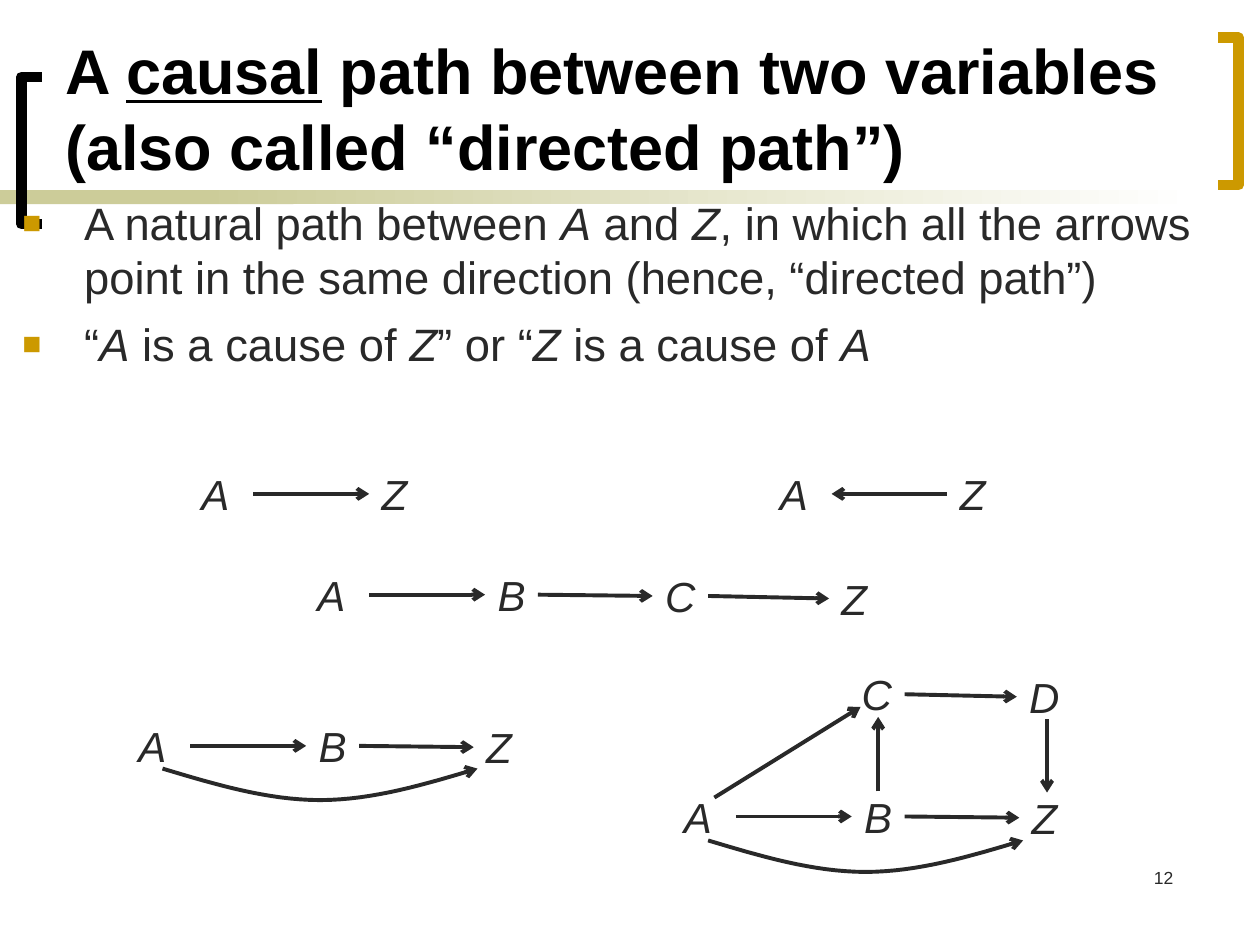
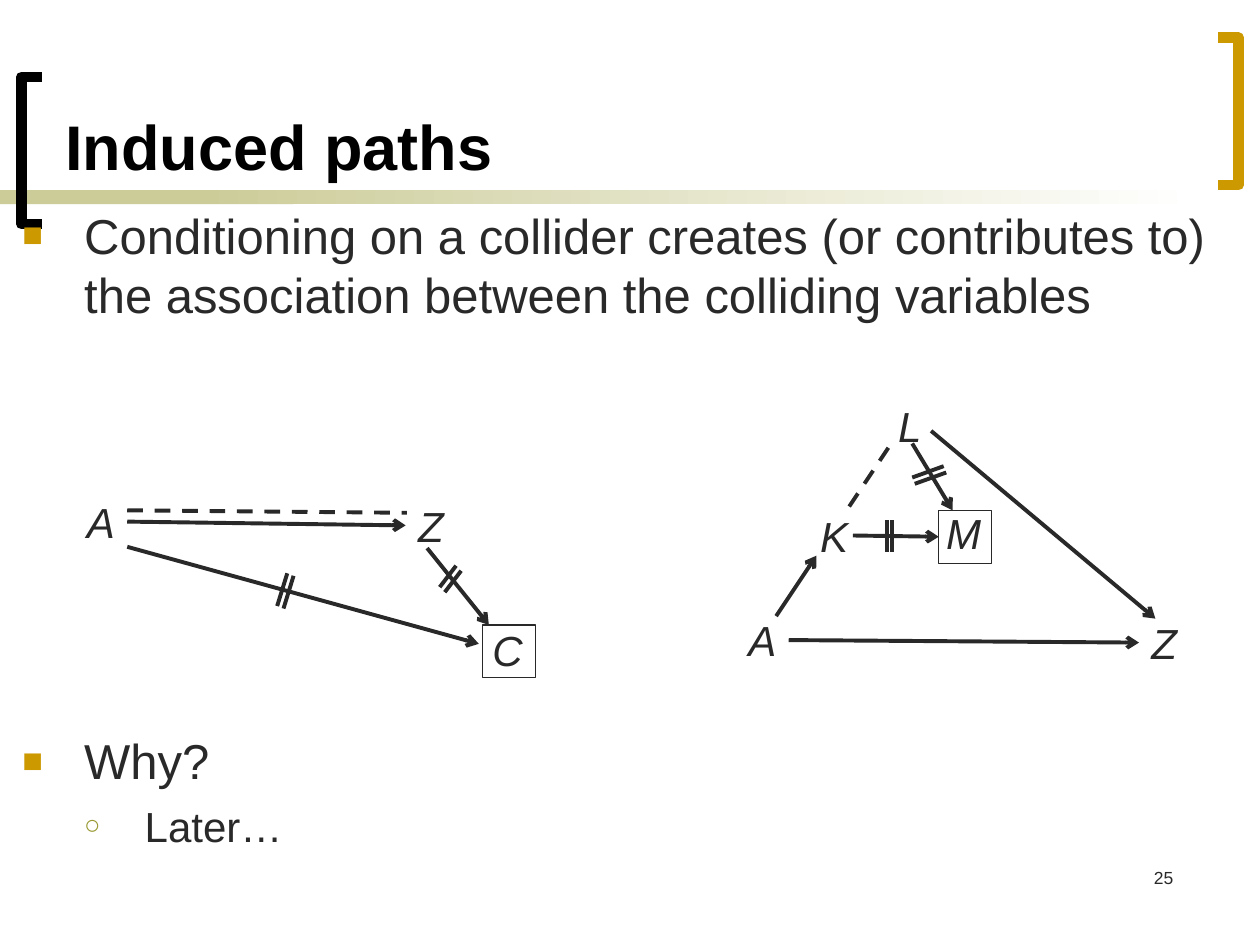
from lxml import etree
from pptx import Presentation
from pptx.dml.color import RGBColor
from pptx.enum.dml import MSO_LINE
from pptx.enum.shapes import MSO_CONNECTOR, MSO_SHAPE
from pptx.enum.text import MSO_ANCHOR, MSO_AUTO_SIZE, PP_ALIGN
from pptx.oxml.ns import qn
from pptx.util import Inches, Pt

STRAIGHT = MSO_CONNECTOR.STRAIGHT
RECTANGLE = MSO_SHAPE.RECTANGLE
DASH = MSO_LINE.DASH
LEFT, RIGHT = PP_ALIGN.LEFT, PP_ALIGN.RIGHT
LEFT_SIDE, RIGHT_SIDE = 1, 3
TITLE_ONLY = 5

FONT = "Arial"
COLORS = {"ink": "292929", "black": "000000", "gold": "CC9900",
          "olive": "999933", "band": "CCCC99", "white": "FFFFFF"}
NODE_WIDTHS = {"A": 0.42, "B": 0.42, "C": 0.44, "D": 0.44,
               "K": 0.42, "L": 0.38, "M": 0.48, "Z": 0.4}
NODE_HEIGHT = 0.5
FRAME_SIZE = 0.42
# Steps from the first node of a chain: right and down
CHAIN_STEPS = [(0, 0), (1.43, 0), (2.76, 0.01), (4.16, 0.03)]
# Level: bullet, colour, size in percent, left margin, hanging indent, space before
BULLETS = [("■", "gold", 70, 0.49, 0.49, 7), ("○", "olive", 65, 0.97, 0.48, 6)]


def rgb(name):
    return RGBColor.from_string(COLORS[name])


def set_font(paragraph, size, color="ink", bold=False, italic=None):
    font = paragraph.font
    font.name, font.size, font.bold = FONT, Pt(size), bold
    font.color.rgb = rgb(color)
    if italic is not None:
        font.italic = italic


def add_marked_runs(paragraph, text, mark):
    """Split text at "|" and set the font attribute mark on every second part."""
    for index, part in enumerate(text.split("|")):
        if part:
            run = paragraph.add_run()
            run.text = part
            if index % 2:
                setattr(run.font, mark, True)


def style_line(shape, color="ink", width=2.25, dash=False, head=None):
    """Head is "headEnd" or "tailEnd", the end that carries the arrow."""
    shape.line.color.rgb = rgb(color)
    shape.line.width = Pt(width)
    if dash:
        shape.line.dash_style = DASH
    properties = shape.element.spPr
    if head:
        etree.SubElement(properties.find(qn("a:ln")), qn(f"a:{head}"), type="arrow")
    if properties.find(qn("a:effectLst")) is None:
        etree.SubElement(properties, qn("a:effectLst"))


def add_polyline(slide, points, **line):
    start, *rest = [(Inches(x), Inches(y)) for x, y in points]
    builder = slide.shapes.build_freeform(*start)
    builder.add_line_segments(rest, close=False)
    outline = builder.convert_to_shape()
    outline.fill.background()
    style_line(outline, **line)


def add_text_box(slide, left, top, width, height):
    box = slide.shapes.add_textbox(*map(Inches, (left, top, width, height)))
    box.text_frame.word_wrap = True
    return box


def add_band(slide, left, width):
    band = slide.shapes.add_shape(
        RECTANGLE, *map(Inches, (left, 1.51, width, 0.11)))
    band.shadow.inherit = False
    band.line.fill.background()
    return band.fill


def add_bracket(slide, left, top, inner, outer, color):
    """Draw a square bracket; inner and outer are the x offsets of tips and spine."""
    bottom = top + 1.17
    tip, spine = left + inner, left + outer
    add_polyline(slide, [(tip, bottom), (spine, bottom), (spine, top), (tip, top)],
                 color=color, width=6)


def add_slide(deck, title, number):
    slide = deck.slides.add_slide(deck.slide_layouts[TITLE_ONLY])
    solid = add_band(slide, 0, 2.33)
    solid.solid()
    solid.fore_color.rgb = rgb("band")
    fade = add_band(slide, 1.58, 7.92)
    fade.gradient()
    fade.gradient_angle = 0
    for stop, color in zip(fade.gradient_stops, ("band", "white")):
        stop.color.rgb = rgb(color)
    add_bracket(slide, 0.17, 0.61, 0.16, 0, "black")
    add_bracket(slide, 9.67, 0.3, 0, 0.16, "gold")

    heading = slide.shapes.title
    heading.left, heading.top = Inches(0.42), Inches(0.11)
    heading.width, heading.height = Inches(9.33), Inches(1.39)
    frame = heading.text_frame
    frame.vertical_anchor = MSO_ANCHOR.BOTTOM
    frame.auto_size = MSO_AUTO_SIZE.NONE
    paragraph = frame.paragraphs[0]
    paragraph.alignment = LEFT
    add_marked_runs(paragraph, title, "underline")
    set_font(paragraph, 36, "black", bold=True)

    footer = add_text_box(slide, 7.33, 6.83, 2.08, 0.5).text_frame.paragraphs[0]
    footer.text = str(number)
    footer.alignment = RIGHT
    set_font(footer, 10)
    return slide


def add_bullets(slide, top, items):
    """Items are (level, size, text); "|" encloses italics in the text."""
    frame = add_text_box(slide, 0.08, top, 9.75, 1.75).text_frame
    for index, (level, size, text) in enumerate(items):
        paragraph = frame.add_paragraph() if index else frame.paragraphs[0]
        char, color, percent, margin, hanging, space = BULLETS[level]
        paragraph.level = level
        if index:
            paragraph.space_before = Pt(space)
        properties = paragraph._p.get_or_add_pPr()
        properties.set("marL", str(Inches(margin)))
        properties.set("indent", str(-Inches(hanging)))
        bullet_color = etree.SubElement(properties, qn("a:buClr"))
        etree.SubElement(bullet_color, qn("a:srgbClr"), val=COLORS[color])
        etree.SubElement(properties, qn("a:buSzPct"), val=str(percent * 1000))
        etree.SubElement(properties, qn("a:buFont"), typeface=FONT)
        etree.SubElement(properties, qn("a:buChar"), char=char)
        add_marked_runs(paragraph, text, "italic")
        set_font(paragraph, size)


class Diagram:
    """A causal diagram whose parts are placed from its left top corner."""

    def __init__(self, slide, left, top):
        self.slide, self.left, self.top = slide, left, top

    def at(self, x, y):
        return self.left + x, self.top + y

    def node(self, label, x, y):
        box = add_text_box(self.slide, *self.at(x, y), NODE_WIDTHS[label], NODE_HEIGHT)
        box.text_frame.word_wrap = False
        box.text_frame.auto_size = MSO_AUTO_SIZE.SHAPE_TO_FIT_TEXT
        paragraph = box.text_frame.paragraphs[0]
        paragraph.text = label
        set_font(paragraph, 24, italic=True)
        return box

    def frame(self, x, y):
        """Outline a variable that is conditioned on."""
        left, top = self.at(x, y)
        square = self.slide.shapes.add_shape(
            RECTANGLE, *map(Inches, (left, top, FRAME_SIZE, FRAME_SIZE)))
        square.fill.background()
        style_line(square, width=0.75)
        return square

    def link(self, start, end, head="tailEnd", dash=False):
        """Join two ends; each is a point, or a shape left at its right side
        and entered at its left side."""
        ends = [self.at(*end) if isinstance(end, tuple) else (0, 0)
                for end in (start, end)]
        connector = self.slide.shapes.add_connector(
            STRAIGHT, *(Inches(value) for point in ends for value in point))
        if not isinstance(start, tuple):
            connector.begin_connect(start, RIGHT_SIDE)
        if not isinstance(end, tuple):
            connector.end_connect(end, LEFT_SIDE)
        style_line(connector, dash=dash, head=head)

    def double_bar(self, start, end, shift):
        """Mark a blocked arrow with two parallel strokes."""
        for step in (0, 1):
            dx, dy = shift[0] * step, shift[1] * step
            self.link((start[0] + dx, start[1] + dy),
                      (end[0] + dx, end[1] + dy), head=None)

    def chain(self, labels, y=0, head="tailEnd"):
        nodes = [self.node(label, x, y + drop)
                 for label, (x, drop) in zip(labels, CHAIN_STEPS)]
        self.link((0.51, y + NODE_HEIGHT / 2), nodes[1], head)
        for source, target in zip(nodes[1:], nodes[2:]):
            self.link(source, target, head)

    def arc(self, x, y, width=2.5, depth=0.25, steps=32):
        """Draw a bowed arrow under a chain."""
        left, top = self.at(x, y)
        points = []
        for step in range(steps + 1):
            t = step / steps
            half = 1 - abs(2 * t - 1)
            # Each half is a cubic with controls at 0, 1/2, 1 and 1 of the depth
            bow = 1.5 * half * (1 - half) ** 2 + 3 * half ** 2 * (1 - half) + half ** 3
            points.append((left + width * t, top + depth * bow))
        add_polyline(self.slide, points, head="tailEnd")


def draw_detour(slide, left, top):
    detour = Diagram(slide, left, top)
    detour.chain("ABZ", y=0.97)
    detour.arc(0.29, 1.41)
    upper_c = detour.node("C", 1.41, 0)
    upper_d = detour.node("D", 2.74, 0.02)
    detour.link(upper_c, upper_d)
    detour.link((1.64, 1.02), (1.64, 0.43))
    detour.link((2.98, 0.45), (2.98, 1.03))
    detour.link((0.34, 1.07), (1.5, 0.35))


def draw_collider(slide, left, top):
    collider = Diagram(slide, left, top)
    cause = collider.node("A", 0, 0)
    effect = collider.node("Z", 2.63, 0.03)
    collider.node("C", 3.22, 1.02)
    collider.frame(3.24, 1.07)
    collider.link(cause, effect)
    collider.link((0.42, 0.16), (2.64, 0.18), head=None, dash=True)
    collider.link((0.42, 0.45), (3.21, 1.22))
    collider.link((2.8, 0.46), (3.29, 1.07))
    collider.double_bar((1.74, 0.68), (1.66, 0.94), (-0.05, -0.02))
    collider.double_bar((3.03, 0.6), (2.9, 0.77), (0.04, 0.04))


def draw_induced_path(slide, left, top):
    induced = Diagram(slide, left, top)
    cause = induced.node("A", 0, 1.7)
    effect = induced.node("Z", 3.2, 1.72)
    induced.node("K", 0.57, 0.87)
    induced.node("L", 1.19, 0)
    induced.node("M", 1.57, 0.85)
    conditioned = induced.frame(1.61, 0.92)
    induced.link(cause, effect)
    induced.link((0.32, 1.76), (0.64, 1.28))
    induced.link((0.93, 1.12), conditioned)
    induced.link((1.4, 0.39), (1.72, 0.92))
    induced.link((1.55, 0.29), (3.33, 1.78))
    induced.link((0.9, 0.89), (1.22, 0.41), head=None, dash=True)
    induced.double_bar((1.65, 0.57), (1.4, 0.66), (0.02, 0.05))
    induced.double_bar((1.2, 1), (1.2, 1.25), (0.04, 0))


def build_causal_path(deck):
    slide = add_slide(
        deck, "A |causal| path between two variables (also called “directed path”)", 12)
    add_bullets(slide, 1.5, [
        (0, 25.9, "A natural path between |A| and |Z|, in which all the arrows "
                  "point in the same direction (hence, “directed path”)"),
        (0, 25.9, "“|A| is a cause of |Z|” or “|Z| is a cause of |A|")])
    Diagram(slide, 1.5, 3.67).chain("AZ")
    Diagram(slide, 6.09, 3.67).chain("AZ", head="headEnd")
    Diagram(slide, 2.42, 4.47).chain("ABCZ")
    shortcut = Diagram(slide, 1, 5.67)
    shortcut.chain("ABZ")
    shortcut.arc(0.29, 0.43)
    draw_detour(slide, 5.33, 5.26)


def build_induced_paths(deck):
    slide = add_slide(deck, "Induced paths", 25)
    add_bullets(slide, 1.58, [
        (0, 28, "Conditioning on a collider creates (or contributes to) "
                "the association between the colliding variables")])
    draw_collider(slide, 0.59, 3.89)
    draw_induced_path(slide, 5.84, 3.13)
    add_bullets(slide, 5.75, [(0, 28, "Why?"), (1, 24, "Later…")])


def main():
    deck = Presentation()
    deck.slide_width, deck.slide_height = Inches(10), Inches(7.5)
    build_causal_path(deck)
    build_induced_paths(deck)
    deck.save("out.pptx")


if __name__ == "__main__":
    main()
